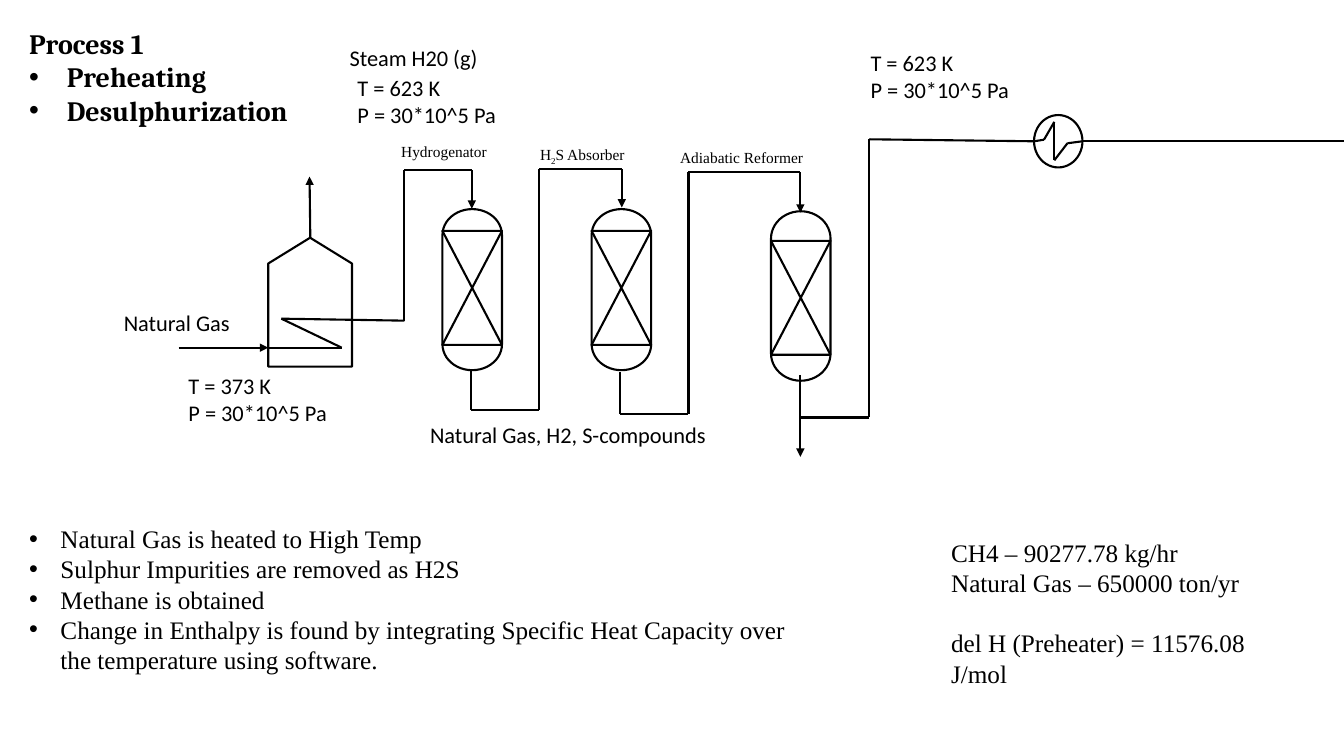
from itertools import pairwise

from lxml.etree import SubElement
from pptx import Presentation
from pptx.dml.color import RGBColor
from pptx.enum.shapes import MSO_CONNECTOR as Connector, MSO_SHAPE as Shape
from pptx.enum.text import MSO_ANCHOR as Anchor, MSO_AUTO_SIZE as AutoSize, PP_ALIGN as Align
from pptx.oxml.ns import qn
from pptx.util import Cm, Pt

BLACK = RGBColor(0x00, 0x00, 0x00)
WHITE = RGBColor(0xFF, 0xFF, 0xFF)
SERIF = "Times New Roman"
SANS = "Calibri"
HEADING = "Cambria"
LINE_WIDTH = Pt(1.5)
VESSEL_WIDTH = 1.5


class FlowSheet:
    def __init__(self, slide):
        self.slide = slide

    def outline(self, line):
        line.color.rgb = BLACK
        line.width = LINE_WIDTH

    def symbol(self, kind, left, top, width, height, rotation=0):
        shape = self.slide.shapes.add_shape(kind, Cm(left), Cm(top), Cm(width), Cm(height))
        shape.rotation = rotation
        shape.shadow.inherit = False
        shape.fill.solid()
        shape.fill.fore_color.rgb = WHITE
        self.outline(shape.line)

    def reactor(self, center_x, center_y, length, bed_top):
        self.symbol(Shape.FLOWCHART_TERMINATOR, center_x - length / 2, center_y - VESSEL_WIDTH / 2,
                    length, VESSEL_WIDTH, 90)
        self.symbol(Shape.FLOWCHART_COLLATE, center_x - VESSEL_WIDTH / 2, bed_top, VESSEL_WIDTH, 2.87)

    def pipe(self, *points, arrow=False):
        for start, end in pairwise(points):
            connector = self.slide.shapes.add_connector(
                Connector.STRAIGHT, *(Cm(value) for value in start + end))
            self.outline(connector.line)
            properties = connector._element.spPr
            if arrow and end == points[-1]:
                SubElement(properties.find(qn("a:ln")), qn("a:tailEnd"), type="triangle")
            SubElement(properties, qn("a:effectLst"))

    def format_text(self, text_frame, text, font, size, bold=False):
        text_frame.text = text
        for paragraph in text_frame.paragraphs:
            paragraph.alignment = Align.LEFT
            paragraph.space_before = Pt(0)
            for run in paragraph.runs:
                run.font.name = font
                run.font.size = Pt(size)
                run.font.bold = bold
                run.font.color.rgb = BLACK

    def label(self, text, left, top, width, height, font=SANS, size=16, wrap=False, inset=True):
        box = self.slide.shapes.add_textbox(Cm(left), Cm(top), Cm(width), Cm(height))
        frame = box.text_frame
        frame.word_wrap = wrap
        if not inset:
            frame.margin_left = frame.margin_right = frame.margin_top = frame.margin_bottom = 0
        self.format_text(frame, text, font, size)
        return frame

    def bulleted(self, placeholder, text, left, top, width, height, font, size, indent,
                 first_bullet=0, bold=False):
        placeholder.left, placeholder.top = Cm(left), Cm(top)
        placeholder.width, placeholder.height = Cm(width), Cm(height)
        frame = placeholder.text_frame
        frame.word_wrap = True
        frame.auto_size = AutoSize.NONE
        frame.vertical_anchor = Anchor.TOP
        self.format_text(frame, text, font, size, bold)
        for paragraph in frame.paragraphs[first_bullet:]:
            properties = paragraph._p.get_or_add_pPr()
            properties.set("marL", str(Cm(indent)))
            properties.set("indent", str(-Cm(indent)))
            SubElement(properties, qn("a:buFont"), typeface="Arial")
            SubElement(properties, qn("a:buChar"), char="•")


def main():
    presentation = Presentation()
    presentation.slide_width = Cm(33.87)
    presentation.slide_height = Cm(19.05)
    slide = presentation.slides.add_slide(presentation.slide_layouts[1])
    sheet = FlowSheet(slide)

    sheet.bulleted(slide.shapes.title, "Process 1\nPreheating\nDesulphurization",
                   0.48, 0.53, 7.9, 2.82, HEADING, 20, 0.95, first_bullet=1, bold=True)
    sheet.bulleted(slide.placeholders[1],
                   "Natural Gas is heated to High Temp\n"
                   "Sulphur Impurities are removed as H2S\n"
                   "Methane is obtained\n"
                   "Change in Enthalpy is found by integrating Specific Heat Capacity "
                   "over the temperature using software.",
                   0.48, 13.06, 20.17, 5.64, SERIF, 18, 0.79)

    for reactor in ((11.9, 7.3, 4.06, 5.82), (15.66, 7.3, 4.06, 5.82), (20.18, 7.46, 4.27, 6.07)):
        sheet.reactor(*reactor)
    sheet.symbol(Shape.FLOWCHART_OFFPAGE_CONNECTOR, 6.76, 5.99, 2.11, 3.25, 180)
    sheet.symbol(Shape.OVAL, 26.06, 2.9, 1.22, 1.32)

    furnace_inlet = (6.76, 8.76)
    furnace_outlet = (10.19, 8.08)
    exchanger_inlet = (26.06, 3.56)
    exchanger_outlet = (27.28, 3.56)

    sheet.pipe((4.5, 8.76), furnace_inlet, arrow=True)
    sheet.pipe(furnace_inlet, (8.61, 8.76), (7.09, 8.03), furnace_outlet)
    sheet.pipe((7.82, 5.99), (7.8, 4.45), arrow=True)
    sheet.pipe(furnace_outlet, (10.19, 4.29), (11.89, 4.29), (11.89, 5.26), arrow=True)
    sheet.pipe((11.86, 9.3), (11.86, 10.34), (13.59, 10.34), (13.59, 4.27),
               (15.67, 4.27), (15.67, 5.23), arrow=True)
    sheet.pipe((15.62, 9.37), (15.62, 10.44), (17.35, 10.44), (17.35, 4.34),
               (20.17, 4.34), (20.17, 5.36), arrow=True)
    sheet.pipe((20.17, 9.45), (20.17, 10.52), (21.91, 10.52), (21.91, 3.51), exchanger_inlet)
    sheet.pipe((20.17, 9.58), (20.17, 11.51), arrow=True)
    sheet.pipe(exchanger_inlet, (26.31, 3.52), (26.57, 3.07), (26.57, 4.04),
               (26.9, 3.61), exchanger_outlet)
    sheet.pipe(exchanger_outlet, (33.87, 3.56))

    for name, left, top, width in (("Hydrogenator", 9.86, 3.45, 2.77),
                                   ("Adiabatic Reformer", 16.89, 3.61, 3.73)):
        sheet.label(name, left, top, width, 0.74, SERIF, 11, wrap=True)
    absorber = sheet.label("H", 13.36, 3.53, 2.97, 0.74, SERIF, 11, wrap=True)
    for text, baseline in (("2", "-25000"), ("S Absorber", "0")):
        run = absorber.paragraphs[0].add_run()
        run.text = text
        run.font.name = SERIF
        run.font.size = Pt(11)
        run.font.color.rgb = BLACK
        run.font._element.set("baseline", baseline)

    for temperature, left, top in ((373, 4.5, 9.25), (623, 8.76, 1.75), (623, 21.69, 1.12)):
        sheet.label(f"T = {temperature} K\nP = 30*10^5 Pa", left, top, 4.04, 1.63)
    sheet.label("Natural Gas, H2, S-compounds", 10.59, 10.49, 7.54, 0.94)
    sheet.label("Steam H20 (g)", 8.81, 1.12, 3.28, 0.69, inset=False)
    sheet.label("Natural Gas", 2.87, 7.67, 4.37, 0.94, wrap=True)
    results = sheet.label("CH4 – 90277.78 kg/hr\nNatural Gas – 650000 ton/yr\n"
                          "del H (Preheater) = 11576.08 J/mol",
                          23.72, 13.41, 8.48, 4.11, SERIF, 18, wrap=True)
    results.paragraphs[2].space_before = Pt(21.5)

    presentation.save("out.pptx")


if __name__ == "__main__":
    main()
